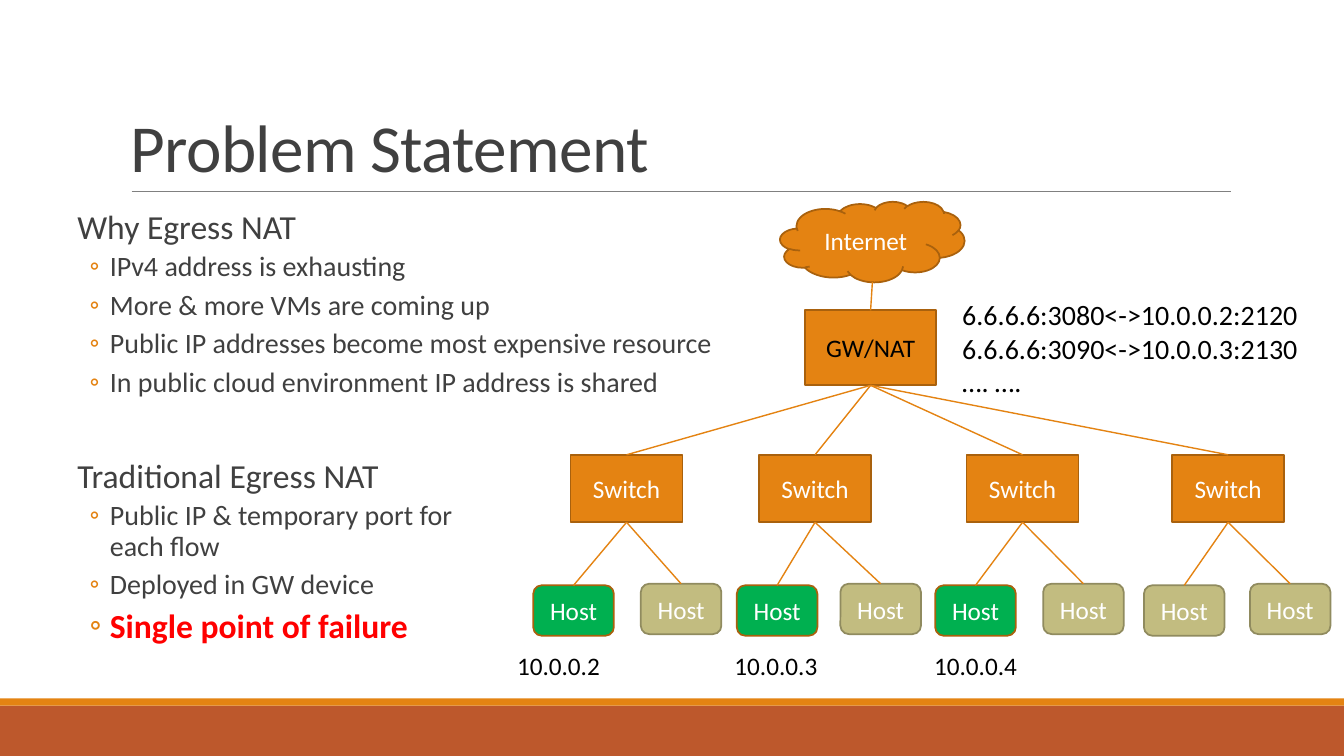
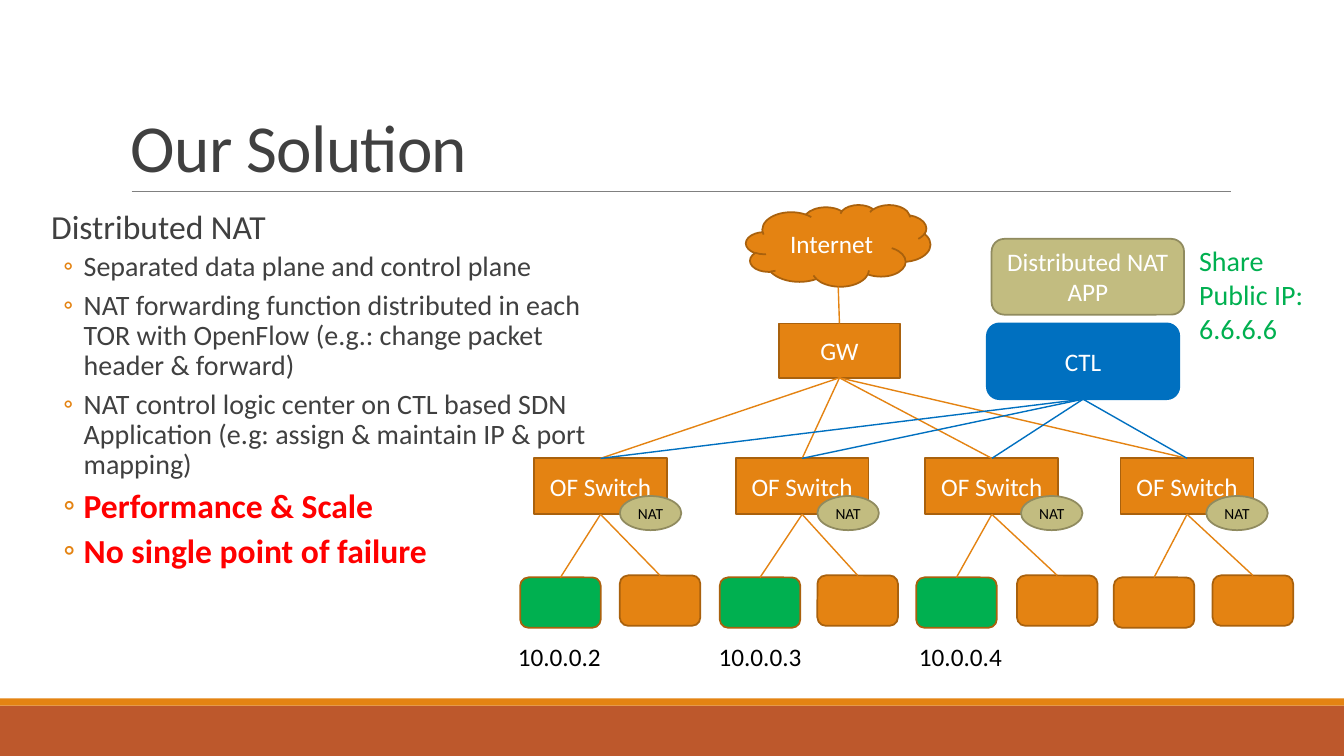
import lxml.etree
import pptx
import pptx.dml.color
import pptx.enum.shapes
import pptx.enum.text
import pptx.oxml.ns
import pptx.util

Cm = pptx.util.Cm
Pt = pptx.util.Pt
Preset = pptx.enum.shapes.MSO_SHAPE
Align = pptx.enum.text.PP_ALIGN
Anchor = pptx.enum.text.MSO_ANCHOR
qn = pptx.oxml.ns.qn

FONT = "Calibri"
COLORS = {
    "orange": "E48312",
    "orange_edge": "A9610D",
    "rust": "BD582C",
    "tan": "C2BC80",
    "tan_edge": "908B5F",
    "green": "00B050",
    "blue": "0070C0",
    "red": "FF0000",
    "rule": "808080",
    "text": "404040",
    "black": "000000",
    "white": "FFFFFF",
}
EDGES = {"orange": "orange_edge", "green": "orange_edge", "tan": "tan_edge", "blue": "blue"}

SLIDE_WIDTH, SLIDE_HEIGHT = 33.87, 19.05
TOP, BOTTOM = 0, 2
DIAGRAM_BOX = (12.7, 5.08, 21.17, 12.2)
HOST_SIZE = (2.03, 1.27)
CONTROL_SIZE = (4.85, 1.91)
ADDRESSES = ("10.0.0.2", "10.0.0.3", "10.0.0.4")


def rgb(color):
    return pptx.dml.color.RGBColor.from_string(COLORS[color])


def inside(box, left, top, width, height):
    """Turn a position relative to box into one on the slide."""
    return box[0] + left, box[1] + top, width, height


def add_run(paragraph, text, size, color, bold=False):
    run = paragraph.add_run()
    run.text = text
    run.font.name = FONT
    run.font.size = Pt(size)
    run.font.bold = bold
    run.font.color.rgb = rgb(color)
    return run


def write_lines(frame, lines, size, color, alignment=Align.LEFT):
    for index, line in enumerate(lines):
        paragraph = frame.add_paragraph() if index else frame.paragraphs[0]
        paragraph.alignment = alignment
        add_run(paragraph, line, size, color)


def add_text(slide, box, lines, size=18, color="black", wrap=True):
    shape = slide.shapes.add_textbox(*map(Cm, box))
    shape.text_frame.word_wrap = wrap
    write_lines(shape.text_frame, lines, size, color)
    return shape


def add_block(slide, preset, box, fill, lines=(), size=18, color="white", outlined=True):
    shape = slide.shapes.add_shape(preset, *map(Cm, box))
    shape.shadow.inherit = False
    shape.fill.solid()
    shape.fill.fore_color.rgb = rgb(fill)
    if outlined:
        shape.line.color.rgb = rgb(EDGES[fill])
        shape.line.width = Pt(1.25)
    else:
        shape.line.fill.background()
    shape.text_frame.vertical_anchor = Anchor.MIDDLE
    write_lines(shape.text_frame, lines, size, color, Align.CENTER)
    return shape


def add_line(slide, start, end, color="orange", width=1):
    connector = slide.shapes.add_connector(
        pptx.enum.shapes.MSO_CONNECTOR.STRAIGHT, *map(Cm, start + end))
    connector.line.color.rgb = rgb(color)
    connector.line.width = Pt(width)
    lxml.etree.SubElement(connector._element.spPr, qn("a:effectLst"))
    return connector


def link(slide, upper, lower, color="orange"):
    """Join the bottom of the upper shape to the top of the lower one."""
    connector = add_line(slide, (0, 0), (0, 0), color)
    connector.begin_connect(upper, BOTTOM)
    connector.end_connect(lower, TOP)


def add_titled_slide(presentation, title):
    slide = presentation.slides.add_slide(presentation.slide_layouts[6])
    add_block(slide, Preset.RECTANGLE, (0, 17.78, SLIDE_WIDTH, 1.27), "rust", outlined=False)
    add_block(slide, Preset.RECTANGLE, (0, 17.6, SLIDE_WIDTH, 0.18), "orange", outlined=False)
    add_line(slide, (3.32, 4.83), (31.01, 4.83), "rule", 0.5)
    shape = add_text(slide, (3.05, 0.79, 27.94, 4.03), [title], 48, "text")
    shape.text_frame.vertical_anchor = Anchor.BOTTOM
    paragraph = shape.text_frame.paragraphs[0]
    paragraph.line_spacing = 0.85
    paragraph.runs[0].font._element.set("spc", "-50")
    return slide


def set_indent(paragraph, margin, hanging):
    properties = paragraph._p.get_or_add_pPr()
    properties.set("marL", str(Cm(margin)))
    properties.set("indent", str(-Cm(hanging)))
    return properties


def add_bullet(paragraph):
    properties = set_indent(paragraph, 1.07, 0.51)
    bullet_color = lxml.etree.SubElement(properties, qn("a:buClr"))
    lxml.etree.SubElement(bullet_color, qn("a:srgbClr"), val=COLORS["orange"])
    lxml.etree.SubElement(properties, qn("a:buFont"), typeface=FONT)
    lxml.etree.SubElement(properties, qn("a:buChar"), char="◦")


def add_bullet_list(slide, box, heading, points, key_points=()):
    """Write a heading, plain points and then key points in bold red."""
    frame = slide.shapes.add_textbox(*map(Cm, box)).text_frame
    frame.word_wrap = True
    frame.margin_left = frame.margin_right = 0
    paragraph = frame.paragraphs[0]
    paragraph.line_spacing = 0.9
    paragraph.space_before, paragraph.space_after = Pt(12), Pt(2)
    set_indent(paragraph, 0.25, 0)
    add_run(paragraph, heading, 24, "text")
    styled_points = [(point, 20, "text", False) for point in points]
    styled_points += [(point, 24, "red", True) for point in key_points]
    for styled_point in styled_points:
        paragraph = frame.add_paragraph()
        paragraph.line_spacing = 0.9
        paragraph.space_before, paragraph.space_after = Pt(2), Pt(4)
        add_bullet(paragraph)
        add_run(paragraph, *styled_point)


def add_network(slide, box, cloud, gateway, gateway_text, gateway_color, switch_text,
                switch_lefts, switch_top, switch_size, host_text, host_lefts, host_tops,
                idle_color, address_lefts, address_top):
    """Draw the tree from the internet to the hosts and return its switches."""
    cloud_box = inside(box, *cloud)
    cloud_bottom = (cloud_box[0] + cloud_box[2] / 2, cloud_box[1] + cloud_box[3])
    add_block(slide, Preset.CLOUD, cloud_box, "orange", ["Internet"])
    gateway_shape = add_block(slide, Preset.RECTANGLE, inside(box, *gateway), "orange",
                              [gateway_text], color=gateway_color)
    uplink = add_line(slide, cloud_bottom, cloud_bottom)
    uplink.end_connect(gateway_shape, TOP)

    switches = []
    for index, (switch_left, pair) in enumerate(zip(switch_lefts, host_lefts)):
        switch = add_block(slide, Preset.RECTANGLE,
                           inside(box, switch_left, switch_top, *switch_size),
                           "orange", [switch_text])
        link(slide, gateway_shape, switch)
        switches.append(switch)
        first_color = "green" if index < len(ADDRESSES) else idle_color
        for left, top, color in zip(pair, host_tops, (first_color, idle_color)):
            host = add_block(slide, Preset.ROUNDED_RECTANGLE,
                             inside(box, left, top, *HOST_SIZE), color, host_text)
            link(slide, switch, host)

    for left, address in zip(address_lefts, ADDRESSES):
        add_text(slide, inside(box, left, address_top, 2.62, 1.02), [address], wrap=False)
    return switches


def add_controller(slide, box, switches):
    """Draw the controller with its application, linked to every switch."""
    controller = add_block(slide, Preset.ROUNDED_RECTANGLE,
                           inside(box, 0, 2.13, *CONTROL_SIZE), "blue", ["CTL"])
    add_block(slide, Preset.ROUNDED_RECTANGLE, inside(box, 0.12, 0, *CONTROL_SIZE),
              "tan", ["Distributed NAT", "APP"])
    add_text(slide, inside(box, 5.1, 0, 3.96, 2.82), ["Share Public IP: 6.6.6.6"], 20, "green")
    for switch in switches:
        link(slide, controller, switch, "blue")


def add_nat_badges(slide, box, lefts):
    for left in lefts:
        badge = add_block(slide, Preset.OVAL, inside(box, left, 0, 1.55, 0.86),
                          "tan", ["NAT"], 11, "black")
        frame = badge.text_frame
        frame.margin_left = frame.margin_right = frame.margin_top = frame.margin_bottom = 0


def add_problem_slide(presentation):
    slide = add_titled_slide(presentation, "Problem Statement")
    add_bullet_list(slide, (1.7, 5.18, 16.84, 5.41), "Why Egress NAT", [
        "IPv4 address is exhausting",
        "More & more VMs are coming up",
        "Public IP addresses become most expensive resource",
        "In public cloud environment IP address is shared",
    ])
    add_bullet_list(slide, (1.7, 11.46, 11.1, 5.84), "Traditional Egress NAT", [
        "Public IP & temporary port for each flow",
        "Deployed in GW device",
    ], ["Single point of failure"])
    add_network(
        slide, DIAGRAM_BOX,
        cloud=(6.96, 0, 4.65, 2.03),
        gateway=(7.59, 2.74, 3.3, 1.89), gateway_text="GW/NAT", gateway_color="black",
        switch_text="Switch", switch_lefts=(1.68, 6.43, 11.66, 16.84),
        switch_top=6.38, switch_size=(2.82, 1.7),
        host_text=["Host"],
        host_lefts=((0.74, 3.45), (5.87, 8.48), (10.87, 13.59), (16.13, 18.8)),
        host_tops=(9.67, 9.63), idle_color="tan",
        address_lefts=(0.08, 5.56, 10.59), address_top=11.18)
    add_text(slide, inside(DIAGRAM_BOX, 11.3, 2.29, 9.53, 2.82), [
        "6.6.6.6:3080<->10.0.0.2:2120",
        "6.6.6.6:3090<->10.0.0.3:2130",
        "…. ….",
    ], 20)


def add_solution_slide(presentation):
    slide = add_titled_slide(presentation, "Our Solution")
    add_bullet_list(slide, (1.04, 5.18, 14.38, 10.87), "Distributed NAT", [
        "Separated data plane and control plane",
        "NAT forwarding function distributed in each TOR with OpenFlow "
        "(e.g.: change packet header & forward)",
        "NAT control logic center on CTL based SDN Application "
        "(e.g: assign & maintain IP & port mapping)",
    ], ["Performance & Scale", "No single point of failure"])
    switches = add_network(
        slide, DIAGRAM_BOX,
        cloud=(6.1, 0.08, 4.65, 2.06),
        gateway=(6.93, 3.07, 3.05, 1.37), gateway_text="GW", gateway_color="white",
        switch_text="OF Switch", switch_lefts=(0.76, 5.84, 10.62, 15.54),
        switch_top=6.47, switch_size=(3.35, 1.41),
        host_text=(),
        host_lefts=((0.41, 2.92), (5.44, 7.9), (10.39, 12.93), (15.37, 17.86)),
        host_tops=(9.47, 9.42), idle_color="orange",
        address_lefts=(0.1, 5.16, 10.21), address_top=10.95)
    add_controller(slide, inside(DIAGRAM_BOX, 12.17, 0.94, 9.06, 4.04), switches)
    add_nat_badges(slide, inside(DIAGRAM_BOX, 0, 7.42, 21.17, 0.86), (2.92, 7.9, 13.03, 17.7))


def main():
    presentation = pptx.Presentation()
    presentation.slide_width = Cm(SLIDE_WIDTH)
    presentation.slide_height = Cm(SLIDE_HEIGHT)
    add_problem_slide(presentation)
    add_solution_slide(presentation)
    presentation.save("out.pptx")


if __name__ == "__main__":
    main()
